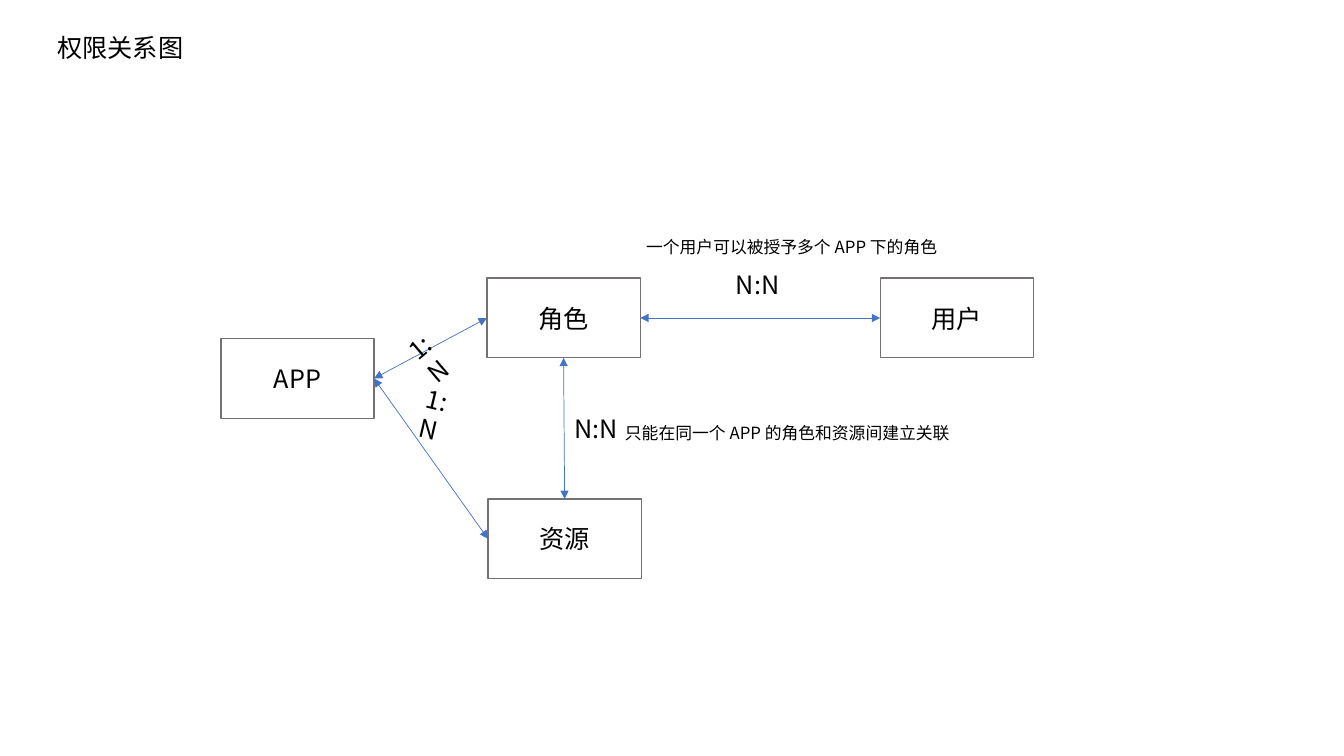
import pptx
import pptx.util
import pptx.dml.color
import pptx.enum.shapes
import pptx.enum.text
import pptx.oxml.ns
import lxml.etree

Inches = pptx.util.Inches
Pt = pptx.util.Pt
qn = pptx.oxml.ns.qn
FONT = "Noto Sans CJK SC"
WIDE, HIGH = 1.52, 0.79


def color(code):
    return pptx.dml.color.RGBColor.from_string(code)


def write(frame, text, size):
    para = frame.paragraphs[0]
    para.text = text
    font = para.font
    font.size = Pt(size)
    font.name = FONT
    font.color.rgb = color("000000")
    # East Asian typeface
    lxml.etree.SubElement(font._rPr, qn("a:ea"), typeface=FONT)
    return para


def label(slide, left, top, width, text, size=18, turn=0):
    height = 0.4 if size == 18 else 0.3
    box = slide.shapes.add_textbox(
        Inches(left), Inches(top), Inches(width), Inches(height))
    box.rotation = turn
    frame = box.text_frame
    frame.word_wrap = True
    frame.auto_size = pptx.enum.text.MSO_AUTO_SIZE.SHAPE_TO_FIT_TEXT
    write(frame, text, size)


def node(slide, left, top, text):
    box = slide.shapes.add_shape(
        pptx.enum.shapes.MSO_SHAPE.RECTANGLE,
        Inches(left), Inches(top), Inches(WIDE), Inches(HIGH))
    box.shadow.inherit = False
    box.fill.background()
    box.line.color.rgb = color("767171")
    box.line.width = Pt(1)
    box.text_frame.vertical_anchor = pptx.enum.text.MSO_ANCHOR.MIDDLE
    para = write(box.text_frame, text, 18)
    para.alignment = pptx.enum.text.PP_ALIGN.CENTER
    return box


def link(slide, start, start_site, end, end_site):
    # Rectangle sites: 0 top, 1 left, 2 bottom, 3 right
    wire = slide.shapes.add_connector(
        pptx.enum.shapes.MSO_CONNECTOR.STRAIGHT, 0, 0, 0, 0)
    wire.begin_connect(start, start_site)
    wire.end_connect(end, end_site)
    wire.line.color.rgb = color("4472C4")
    wire.line.width = Pt(0.5)
    line = wire.line._get_or_add_ln()
    for tag in ("a:headEnd", "a:tailEnd"):
        lxml.etree.SubElement(line, qn(tag), type="triangle")
    lxml.etree.SubElement(wire._element.spPr, qn("a:effectLst"))


def graph(slide, left, top):
    # Entities
    user = node(slide, left + 6.54, top, "用户")
    role = node(slide, left + 2.64, top, "角色")
    app = node(slide, left, top + 0.6, "APP")
    asset = node(slide, left + 2.65, top + 2.19, "资源")

    # Relations
    link(slide, app, 3, role, 1)
    link(slide, app, 3, asset, 1)
    link(slide, role, 3, user, 1)
    link(slide, role, 2, asset, 0)

    # Ratios
    label(slide, left + 1.75, top + 0.43, 0.58, "1:N", turn=319.6)
    label(slide, left + 1.94, top + 1.03, 0.58, "1:N", turn=13.4)
    label(slide, left + 5.01, top - 0.14, 0.63, "N:N")
    label(slide, left + 3.41, top + 1.29, 0.63, "N:N")

    # Rules
    label(slide, left + 3.91, top + 1.38, 3.45,
          "只能在同一个 APP 的角色和资源间建立关联", 12)
    label(slide, left + 4.12, top - 0.46, 3.18,
          "一个用户可以被授予多个 APP 下的角色", 12)


deck = pptx.Presentation()
deck.slide_width = Inches(13.33)
deck.slide_height = Inches(7.5)
page = deck.slides.add_slide(deck.slide_layouts[6])
label(page, 0.47, 0.27, 1.46, "权限关系图")
graph(page, 2.19, 2.76)
deck.save("out.pptx")
